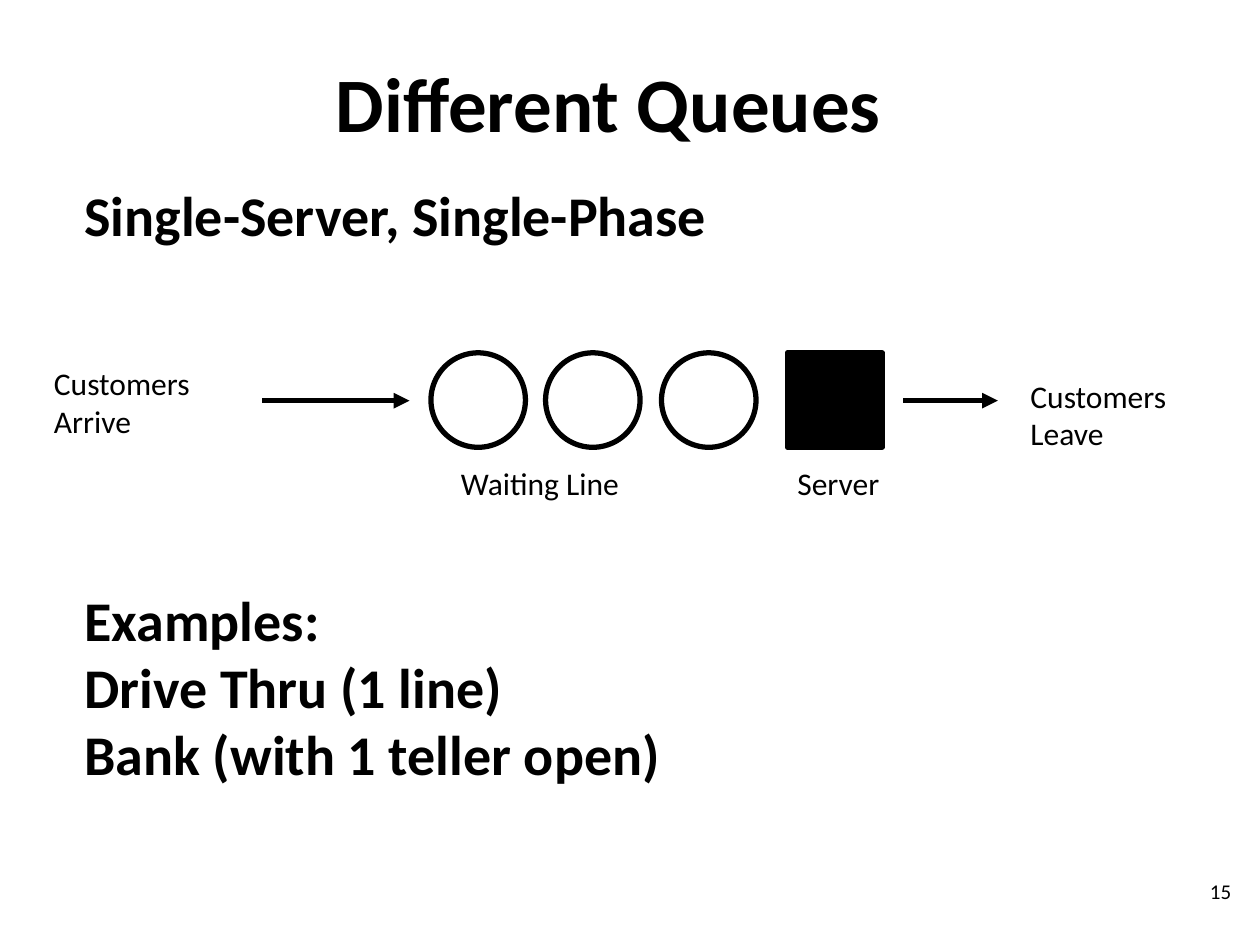
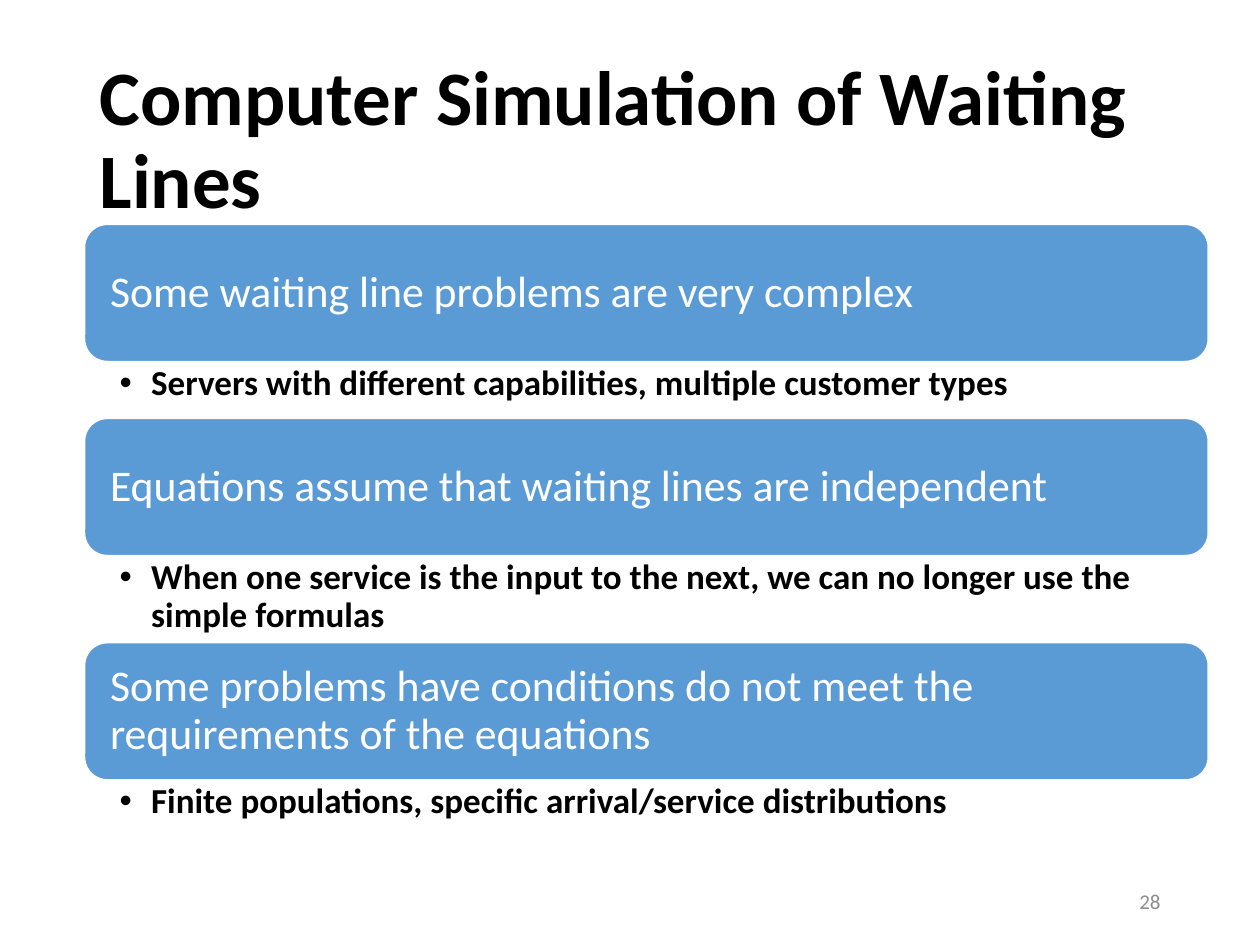
from lxml.etree import SubElement
from pptx import Presentation
from pptx.dml.color import RGBColor
from pptx.enum.shapes import MSO_CONNECTOR as Connector, MSO_SHAPE as Preset
from pptx.enum.text import MSO_ANCHOR as Anchor, MSO_AUTO_SIZE as AutoSize, PP_ALIGN as Align
from pptx.oxml.ns import qn
from pptx.util import Pt

EMU_PER_PX = 9144
BLACK = RGBColor(0x00, 0x00, 0x00)
WHITE = RGBColor(0xFF, 0xFF, 0xFF)
BLUE = RGBColor(0x5B, 0x9B, 0xD5)
GRAY = RGBColor(0x8C, 0x8C, 0x8C)
TITLE_AND_BODY, TITLE_ONLY = 1, 5


def px(length):
    return length * EMU_PER_PX


def assign(target, values):
    for name, value in values.items():
        setattr(target, name, value)


class SlideBuilder:
    FONT = "Calibri"
    TITLE = {"size": Pt(44), "bold": True}
    BODY = {"size": Pt(32), "bold": True}
    LABEL = {"size": Pt(18), "bold": False}
    BAR = {"size": Pt(25), "bold": False}
    NOTE = {"size": Pt(20), "bold": True}
    NUMBER = {"size": Pt(12), "bold": False}

    def __init__(self):
        self.deck = Presentation()
        assign(self.deck, {"slide_width": px(1000), "slide_height": px(750)})
        self.page = None

    def start(self, layout):
        self.page = self.deck.slides.add_slide(self.deck.slide_layouts[layout])

    def place(self, box, area):
        assign(box, dict(zip(("left", "top", "width", "height"), map(px, area))))

    def set_text(self, box, lines, font, color=BLACK, anchor=Anchor.TOP,
                 insets=(10, 5, 10, 5), **layout):
        frame = box.text_frame
        assign(frame, {"word_wrap": True, "auto_size": AutoSize.NONE, "vertical_anchor": anchor})
        sides = ("margin_left", "margin_top", "margin_right", "margin_bottom")
        assign(frame, dict(zip(sides, map(px, insets))))
        paragraph_format = {"alignment": Align.LEFT, "space_before": Pt(0), "space_after": Pt(0)}
        for index, line in enumerate(lines):
            para = frame.add_paragraph() if index else frame.paragraphs[0]
            para.text = line
            assign(para, paragraph_format | layout)
            for span in para.runs:
                assign(span.font, font | {"name": self.FONT})
                span.font.color.rgb = color
        return frame.paragraphs

    def indent(self, para, margin, hanging=0, bullet=None):
        props = para._p.get_or_add_pPr()
        props.set("marL", str(px(margin)))
        props.set("indent", str(px(-hanging)))
        if bullet:
            SubElement(props, qn("a:buFont"), typeface="Arial")
            SubElement(props, qn("a:buChar"), char=bullet)
        else:
            SubElement(props, qn("a:buNone"))

    def title(self, area, text, alignment=Align.LEFT):
        box = self.page.shapes.title
        self.place(box, area)
        self.set_text(box, [text], self.TITLE, anchor=Anchor.MIDDLE,
                      alignment=alignment, line_spacing=0.9)

    def body(self, area, lines):
        box = self.page.placeholders[1]
        self.place(box, area)
        paras = self.set_text(box, lines, self.BODY, insets=(6, 10, 10, 5))
        for para in paras:
            self.indent(para, 13)
        return paras

    def text(self, area, text, font, **options):
        box = self.page.shapes.add_textbox(*map(px, area))
        return self.set_text(box, [text], font, **options)

    def label(self, area, text):
        self.text(area, text, self.LABEL)

    def number(self, area, text, color):
        self.text(area, text, self.NUMBER, color=color, anchor=Anchor.MIDDLE,
                  alignment=Align.RIGHT)

    def shape(self, preset, area, fill=None, line=BLACK, weight=3):
        box = self.page.shapes.add_shape(preset, *map(px, area))
        box.shadow.inherit = False
        if fill is None:
            box.fill.background()
        else:
            box.fill.solid()
            box.fill.fore_color.rgb = fill
        box.line.color.rgb = line
        box.line.width = Pt(weight)
        return box

    def arrow(self, start, end, height):
        arrow = self.page.shapes.add_connector(
            Connector.STRAIGHT, *map(px, (start, height, end, height)))
        arrow.line.color.rgb = BLACK
        arrow.line.width = Pt(3)
        props = arrow._element.spPr
        SubElement(props.find(qn("a:ln")), qn("a:tailEnd"), type="triangle")
        SubElement(props, qn("a:effectLst"))

    def bar(self, area, text):
        box = self.shape(Preset.ROUNDED_RECTANGLE, area, BLUE, WHITE, 1)
        self.set_text(box, [text], self.BAR, color=WHITE, anchor=Anchor.MIDDLE,
                      insets=(15, 15, 15, 15), line_spacing=0.9)

    def note(self, area, text):
        paras = self.text(area, text, self.NOTE, insets=(28, 3, 19, 3), line_spacing=0.9)
        self.indent(paras[0], 25, 25, "•")


def queue_slide(builder):
    builder.start(TITLE_AND_BODY)
    builder.title((33, 17, 900, 137), "Different Queues", Align.CENTER)
    paras = builder.body((48, 133, 905, 600), [
        "Single-Server, Single-Phase", "Examples:", "Drive Thru (1 line)",
        "Bank (with 1 teller open)"])
    paras[1].space_before = Pt(193)
    for customer in range(3):
        builder.shape(Preset.OVAL, (342 + customer * 183 // 2, 280, 75, 75))
    builder.shape(Preset.RECTANGLE, (625, 280, 75, 75), BLACK)
    for start, end in ((208, 325), (717, 792)):
        builder.arrow(start, end, 318)
    for area, text in (
        ((623, 363, 95, 40), "Server"),
        ((356, 363, 158, 40), "Waiting Line"),
        ((33, 284, 149, 71), "Customers\nArrive"),
        ((808, 294, 142, 71), "Customers\nLeave"),
    ):
        builder.label(area, text)
    builder.number((754, 681, 233, 52), "15", BLACK)


def simulation_slide(builder):
    builder.start(TITLE_ONLY)
    builder.title((69, 40, 862, 145), "Computer Simulation of Waiting Lines")
    left, top, width, bar_height = 67, 178, 892, 109
    for heading, detail, detail_height in (
        ("Some waiting line problems are very complex",
         "Servers with different capabilities, multiple customer types", 45),
        ("Equations assume that waiting lines are independent",
         "When one service is the input to the next, we can no longer use the simple formulas", 69),
        ("Some problems have conditions do not meet the requirements of the equations",
         "Finite populations, specific arrival/service distributions", 45),
    ):
        builder.bar((left, top, width, bar_height), heading)
        builder.note((left, top + bar_height, width, detail_height), detail)
        top += bar_height + detail_height
    builder.number((706, 695, 225, 40), "28", GRAY)


def main():
    builder = SlideBuilder()
    queue_slide(builder)
    simulation_slide(builder)
    builder.deck.save("out.pptx")


if __name__ == "__main__":
    main()
